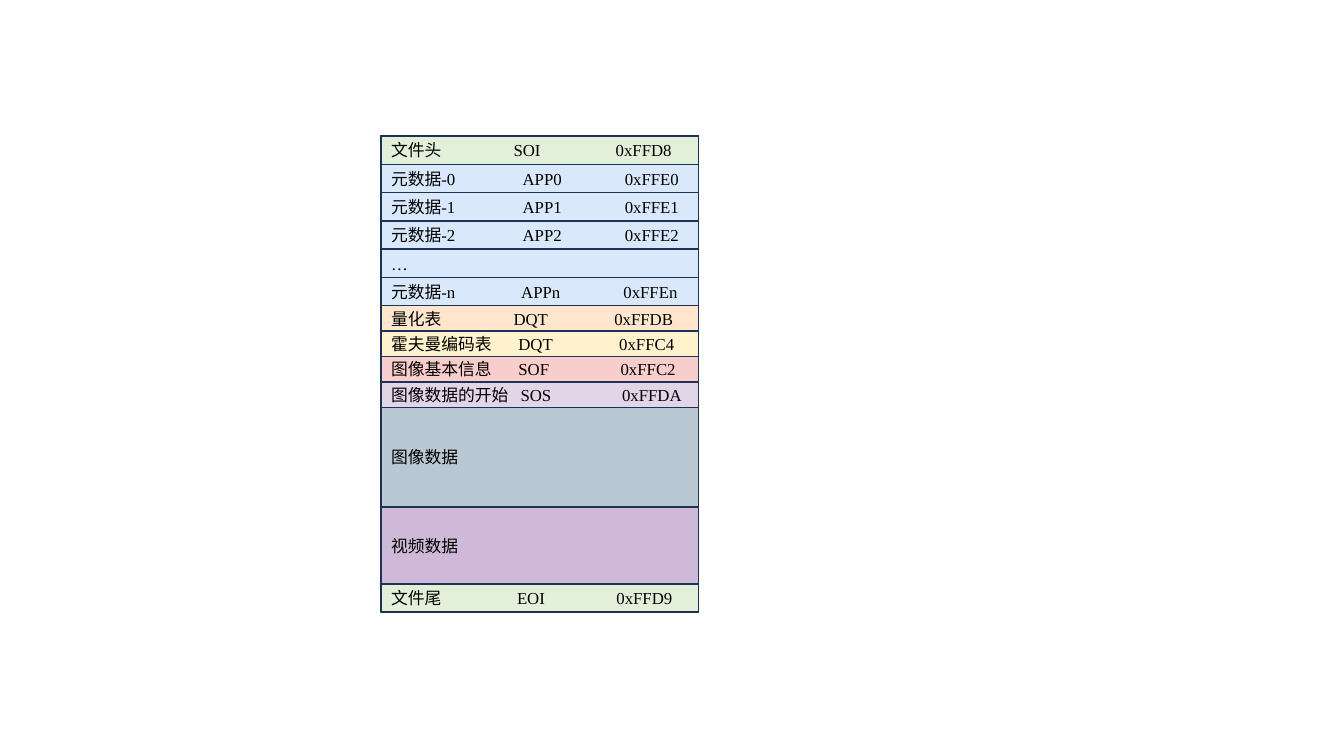
from lxml.etree import SubElement
from pptx import Presentation
from pptx.dml.color import RGBColor
from pptx.enum.shapes import MSO_SHAPE as Shape
from pptx.enum.text import MSO_ANCHOR as Anchor, PP_ALIGN as Align
from pptx.oxml.ns import qn
from pptx.util import Pt

FONT, INK, EDGE = "Times New Roman", "000000", "1E3256"
GREEN, BLUE = "E2F0D9", "DAE8FC"
TALL, LOW = 20.2, 18.15
ROWS = [
    (TALL, GREEN, ("文件头", "SOI", "0xFFD8"), (87.5, 160.5)),
    (TALL, BLUE, ("元数据-0", "APP0", "0xFFE0"), (94, 167)),
    (TALL, BLUE, ("元数据-1", "APP1", "0xFFE1"), (94, 167)),
    (TALL, BLUE, ("元数据-2", "APP2", "0xFFE2"), (94, 167)),
    (TALL, BLUE, ("…",), ()),
    (TALL, BLUE, ("元数据-n", "APPn", "0xFFEn"), (93, 166)),
    (LOW, "FFE6CC", ("量化表", "DQT", "0xFFDB"), (87.5, 159.5)),
    (LOW, "FFF2CC", ("霍夫曼编码表", "DQT", "0xFFC4"), (91, 163)),
    (LOW, "F8CECC", ("图像基本信息", "SOF", "0xFFC2"), (91, 164)),
    (LOW, "E1D5E7", ("图像数据的开始", "SOS", "0xFFDA"), (92.5, 165)),
    (71.2, "BAC8D3", ("图像数据",), ()),
    (54.8, "CEBAD8", ("视频数据",), ()),
    (TALL, GREEN, ("文件尾", "EOI", "0xFFD9"), (90, 161)),
]


def tint(code):
    """Turn a hex string into a colour."""
    return RGBColor.from_string(code)


def add_box(slide, left, top, width, height, fill=None):
    """Add an outlined rectangle, filled if a colour is given."""
    box = slide.shapes.add_shape(
        Shape.RECTANGLE, Pt(left), Pt(top), Pt(width), Pt(height))
    box.shadow.inherit = False
    box.line.color.rgb = tint(EDGE)
    box.line.width = Pt(1)
    if fill:
        box.fill.solid()
        box.fill.fore_color.rgb = tint(fill)
    else:
        box.fill.background()
    return box


def set_tabs(para, stops):
    """Give a paragraph left tab stops."""
    tabs = SubElement(para._p.get_or_add_pPr(), qn("a:tabLst"))
    for stop in stops:
        SubElement(tabs, qn("a:tab"), pos=str(Pt(stop)), algn="l")


def add_row(slide, left, top, width, height, fill, cells, stops):
    """Add one segment of the file with its name, marker and code."""
    frame = add_box(slide, left, top, width, height, fill).text_frame
    frame.word_wrap = True
    frame.vertical_anchor = Anchor.MIDDLE
    para = frame.paragraphs[0]
    para.text = "\t".join(cells)
    para.alignment = Align.LEFT
    if stops:
        set_tabs(para, stops)
    for run in para.runs:
        run.font.name = FONT
        run.font.size = Pt(12)
        run.font.color.rgb = tint(INK)


def add_stack(slide, left, top, width):
    """Stack the file segments downwards inside one frame."""
    add_box(slide, left, top, width, sum(row[0] for row in ROWS))
    for height, fill, cells, stops in ROWS:
        add_row(slide, left, top, width, height, fill, cells, stops)
        top += height


def main():
    """Build and save the slide."""
    deck = Presentation()
    deck.slide_width, deck.slide_height = Pt(960), Pt(540)
    slide = deck.slides.add_slide(deck.slide_layouts[6])
    add_stack(slide, 272.2, 97.2, 226.8)
    deck.save("out.pptx")


if __name__ == "__main__":
    main()
